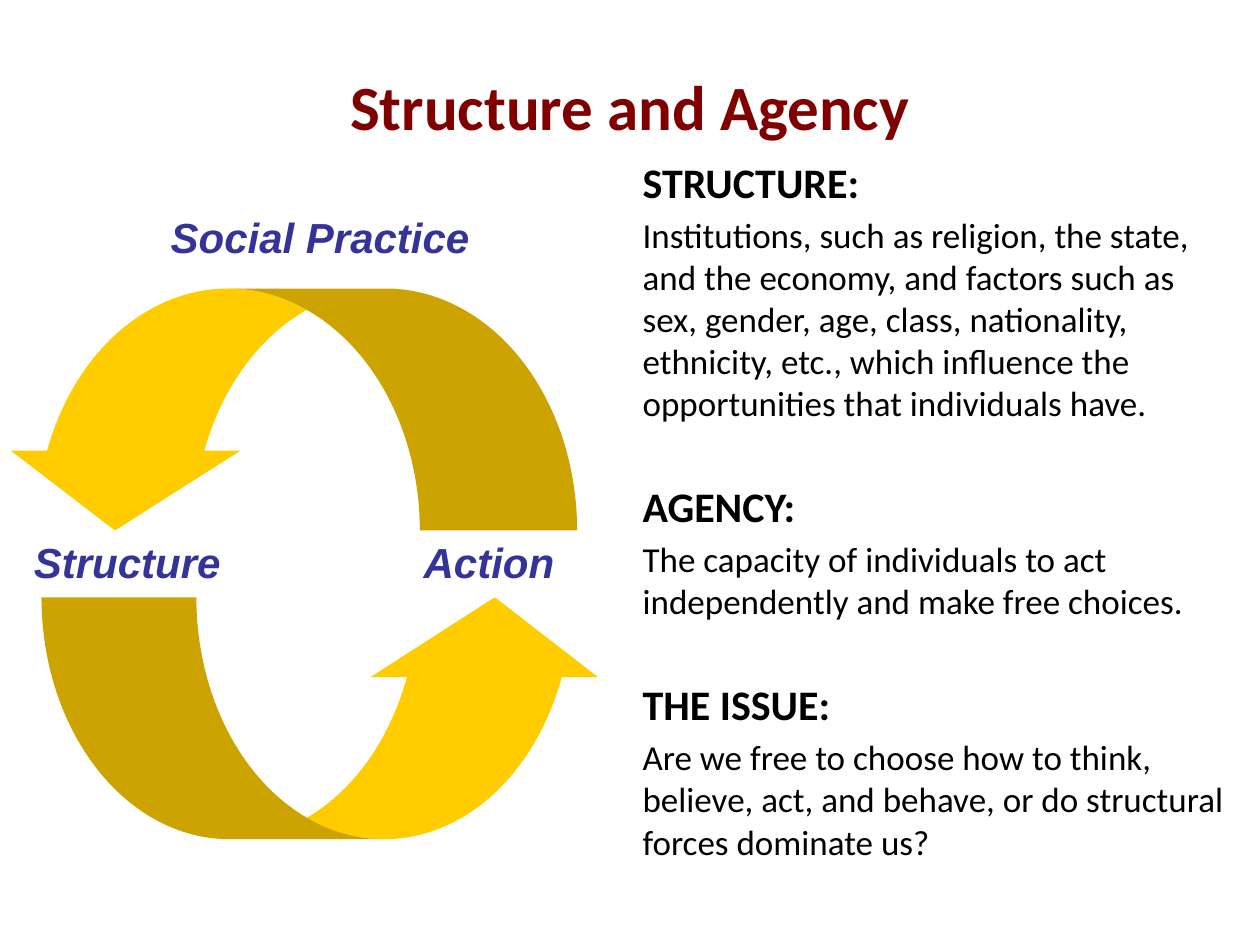
from dataclasses import dataclass

from lxml.etree import SubElement
from pptx import Presentation
from pptx.dml.color import RGBColor
from pptx.enum.shapes import MSO_SHAPE
from pptx.enum.text import MSO_ANCHOR, MSO_AUTO_SIZE, PP_ALIGN
from pptx.oxml.ns import qn
from pptx.util import Inches, Pt

MAROON = RGBColor(0x80, 0x00, 0x00)
INDIGO = RGBColor(0x33, 0x33, 0x99)
GOLD = RGBColor(0xFF, 0xCC, 0x00)
BLACK = RGBColor(0x00, 0x00, 0x00)

TITLE_FONT = {"name": "Calibri", "size": Pt(36), "bold": True}
HEADING_FONT = {"name": "Calibri", "size": Pt(24), "bold": True}
DETAIL_FONT = {"name": "Calibri", "size": Pt(20), "bold": False}
LABEL_FONT = {"name": "Arial", "size": Pt(24), "bold": True, "italic": True}


@dataclass(frozen=True)
class Box:
    left: float
    top: float
    width: float
    height: float

    def lengths(self) -> tuple:
        return tuple(map(Inches, (self.left, self.top, self.width, self.height)))


@dataclass(frozen=True)
class Arrow:
    box: Box
    adjustments: tuple
    rotation: int = 0


@dataclass(frozen=True)
class Label:
    text: str
    box: Box
    alignment: PP_ALIGN = PP_ALIGN.CENTER


@dataclass(frozen=True)
class Section:
    heading: str
    detail: str


ARROWS = (
    Arrow(Box(0.33, 4.74, 4.5, 1.92), (0.64, 0.94, 0.33)),
    Arrow(Box(0, 2.29, 4.58, 1.92), (0.65, 0.95, 0.33), 180),
)
LABELS = (
    Label("Action", Box(3.17, 4.21, 1.42, 0.5)),
    Label("Structure", Box(0.17, 4.21, 1.68, 0.5), PP_ALIGN.LEFT),
    Label("Social Practice", Box(1.25, 1.63, 2.58, 0.5)),
)
SECTIONS = (
    Section(
        "STRUCTURE:",
        "Institutions, such as religion, the state, and the economy, and factors "
        "such as sex, gender, age, class, nationality, ethnicity, etc., which "
        "influence the opportunities that individuals have.",
    ),
    Section(
        "AGENCY:",
        "The capacity of individuals to act independently and make free choices.",
    ),
    Section(
        "THE ISSUE:",
        "Are we free to choose how to think, believe, act, and behave, or do "
        "structural forces dominate us?",
    ),
)


def apply_format(target, values: dict) -> None:
    for name, value in values.items():
        setattr(target, name, value)


def place(shape, box: Box) -> None:
    apply_format(shape, dict(zip(("left", "top", "width", "height"), box.lengths())))


def write(paragraph, text: str, font: dict, color: RGBColor) -> None:
    run = paragraph.add_run()
    run.text = text
    apply_format(run.font, font)
    run.font.color.rgb = color


def remove_bullet(paragraph) -> None:
    properties = paragraph._p.get_or_add_pPr()
    properties.set("marL", "0")
    properties.set("indent", "0")
    SubElement(properties, qn("a:buNone"))


def draw_arrow(shapes, arrow: Arrow) -> None:
    shape = shapes.add_shape(MSO_SHAPE.CURVED_UP_ARROW, *arrow.box.lengths())
    for index, value in enumerate(arrow.adjustments):
        shape.adjustments[index] = value
    shape.rotation = arrow.rotation
    shape.shadow.inherit = False
    shape.fill.solid()
    shape.fill.fore_color.rgb = GOLD
    shape.line.fill.background()


def draw_label(shapes, label: Label) -> None:
    frame = shapes.add_textbox(*label.box.lengths()).text_frame
    apply_format(frame, {"word_wrap": False, "auto_size": MSO_AUTO_SIZE.NONE})
    paragraph = frame.paragraphs[0]
    paragraph.alignment = label.alignment
    write(paragraph, label.text, LABEL_FONT, INDIGO)


def fill_title(title) -> None:
    place(title, Box(0.75, 0.5, 8.5, 0.67))
    frame = title.text_frame
    apply_format(frame, {
        "word_wrap": True,
        "auto_size": MSO_AUTO_SIZE.NONE,
        "vertical_anchor": MSO_ANCHOR.MIDDLE,
    })
    paragraph = frame.paragraphs[0]
    paragraph.alignment = PP_ALIGN.CENTER
    write(paragraph, "Structure and Agency", TITLE_FONT, MAROON)


def fill_body(body) -> None:
    place(body, Box(5, 1.19, 4.83, 5.91))
    frame = body.text_frame
    apply_format(frame, {"word_wrap": True, "auto_size": MSO_AUTO_SIZE.NONE})
    for index, section in enumerate(SECTIONS):
        heading = frame.add_paragraph() if index else frame.paragraphs[0]
        heading.space_before = Pt(32.4 if index else 0)
        detail = frame.add_paragraph()
        detail.space_before = Pt(4)
        write(heading, section.heading, HEADING_FONT, BLACK)
        write(detail, section.detail, DETAIL_FONT, BLACK)
    for paragraph in frame.paragraphs:
        remove_bullet(paragraph)


def main() -> None:
    presentation = Presentation()
    presentation.slide_width = Inches(10)
    presentation.slide_height = Inches(7.5)
    slide = presentation.slides.add_slide(presentation.slide_layouts[1])
    cycle = slide.shapes.add_group_shape()
    for arrow in ARROWS:
        draw_arrow(cycle.shapes, arrow)
    for label in LABELS:
        draw_label(cycle.shapes, label)
    fill_body(slide.placeholders[1])
    fill_title(slide.shapes.title)
    presentation.save("out.pptx")


if __name__ == "__main__":
    main()
